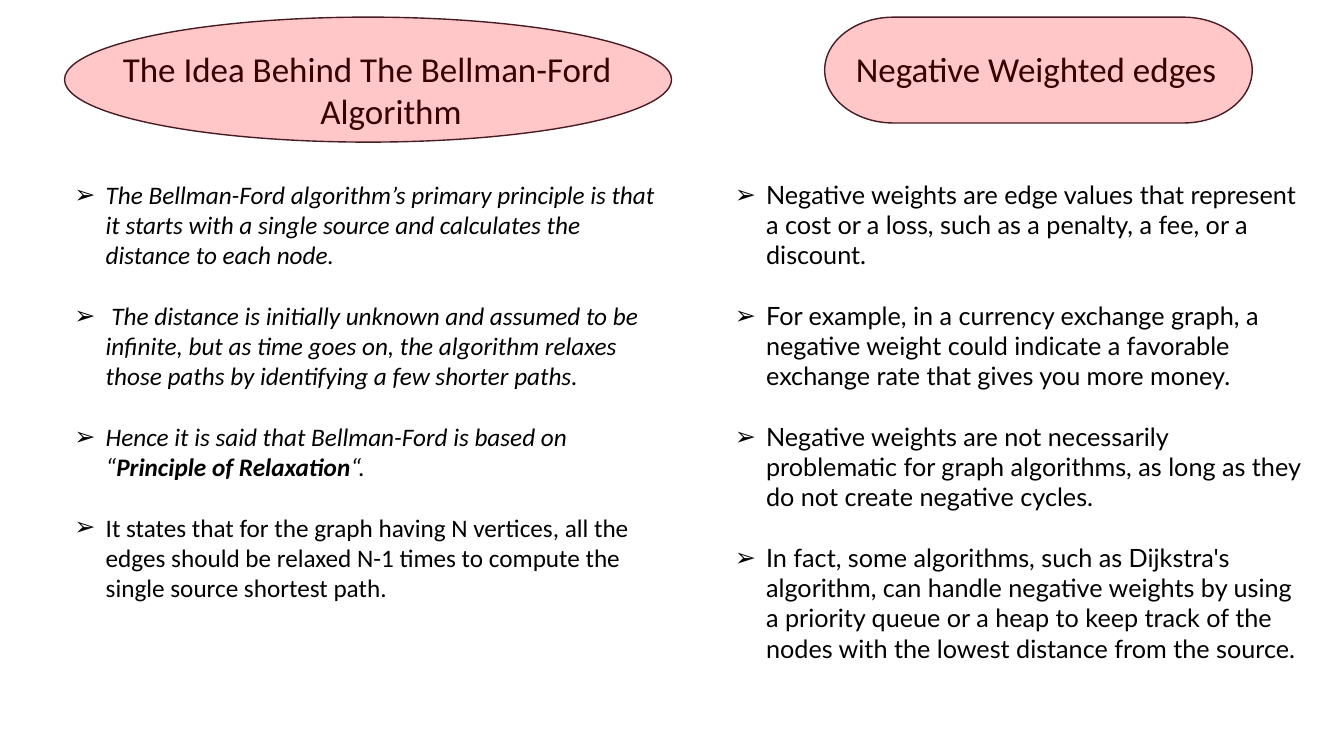
from lxml.etree import SubElement
from pptx import Presentation
from pptx.dml.color import RGBColor
from pptx.enum.shapes import MSO_SHAPE as Shape
from pptx.oxml.ns import qn
from pptx.util import Inches, Pt

BLACK, RED, MAROON = "000000", "FF0000", "481C24"
LINE_GAP = 21.6  # one line of 18 pt text


def color(hex_string):
    return RGBColor.from_string(hex_string)


def add_run(paragraph, text, font="Calibri", size=18, bold=False, italic=False):
    run = paragraph.add_run()
    run.text = text
    run.font.name, run.font.size = font, Pt(size)
    run.font.bold, run.font.italic = bold, italic
    run.font.color.rgb = color(BLACK)


def add_text_frame(slide, box, wrap=True):
    frame = slide.shapes.add_textbox(*map(Inches, box)).text_frame
    frame.word_wrap = wrap
    return frame


def next_paragraph(frame, index):
    return frame.paragraphs[0] if index == 0 else frame.add_paragraph()


def add_heading(slide, box, lines, wrap=True):
    """Lines are (left indent in inches, text)."""
    frame = add_text_frame(slide, box, wrap)
    for index, (indent, text) in enumerate(lines):
        paragraph = next_paragraph(frame, index)
        if indent:
            paragraph._p.get_or_add_pPr().set("marL", str(Inches(indent)))
        add_run(paragraph, text, size=25)


def add_tint(slide, outline, box):
    """Translucent red shape laid over a heading."""
    tint = slide.shapes.add_shape(outline, *map(Inches, box))
    tint.shadow.inherit = False
    tint.fill.solid()
    tint.fill.fore_color.rgb = color(RED)
    fill_color = tint.fill._xPr.find(qn("a:solidFill"))[0]
    SubElement(fill_color, qn("a:alpha"), val="22000")
    tint.line.color.rgb = color(MAROON)
    tint.line.width = Pt(1)


def add_bullets(slide, box, points, font):
    """Each point is a list of (text, format) runs."""
    frame = add_text_frame(slide, box)
    for index, runs in enumerate(points):
        paragraph = next_paragraph(frame, index)
        properties = paragraph._p.get_or_add_pPr()
        properties.set("marL", str(Inches(0.31)))
        properties.set("indent", str(-Inches(0.31)))
        if index:
            paragraph.space_before = Pt(LINE_GAP)
        SubElement(properties, qn("a:buFont"), typeface="Wingdings")
        properties[-1].set("typeface", "Arial")
        SubElement(properties, qn("a:buChar"), char="➢")
        for text, style in runs:
            add_run(paragraph, text, font=font, **style)


ITALIC = {"italic": True}
IDEA_POINTS = [
    [("The Bellman-Ford algorithm’s primary principle is that it starts with a "
      "single source and calculates the distance to each node.", ITALIC)],
    [(" The distance is initially unknown and assumed to be infinite, but as time "
      "goes on, the algorithm relaxes those paths by identifying a few shorter "
      "paths.", ITALIC)],
    [("Hence it is said that Bellman-Ford is based on “", ITALIC),
     ("Principle of Relaxation", {"italic": True, "bold": True}),
     ("“.", ITALIC)],
    [("It states that for the graph having N vertices, all the edges should be "
      "relaxed N-1 times to compute the single source shortest path.", {})],
]
NEGATIVE_POINTS = [[(text, {})] for text in (
    "Negative weights are edge values that represent a cost or a loss, such as a "
    "penalty, a fee, or a discount.",
    "For example, in a currency exchange graph, a negative weight could indicate a "
    "favorable exchange rate that gives you more money.",
    "Negative weights are not necessarily problematic for graph algorithms, as long "
    "as they do not create negative cycles.",
    "In fact, some algorithms, such as Dijkstra's algorithm, can handle negative "
    "weights by using a priority queue or a heap to keep track of the nodes with "
    "the lowest distance from the source.",
)]


def add_idea_column(slide, left, top, width):
    add_heading(slide, (left + 0.48, top + 0.25, 5.82, 0.94),
                [(0, "The Idea Behind The Bellman-Ford"), (1.96, "Algorithm")])
    add_tint(slide, Shape.OVAL, (left, top, width, 1.24))
    add_bullets(slide, (left, top + 1.56, width, 4.64), IDEA_POINTS, "Calibri")


def add_negative_column(slide, left, top, width):
    add_heading(slide, (left + 1.2, top + 0.25, 3.82, 0.52),
                [(0, "Negative Weighted edges")], wrap=False)
    add_tint(slide, Shape.FLOWCHART_TERMINATOR, (left + 0.99, top, 4.24, 1.05))
    add_bullets(slide, (left, top + 1.56, width, 4.64), NEGATIVE_POINTS, "Lato")


def main():
    deck = Presentation()
    deck.slide_width, deck.slide_height = Inches(13.33), Inches(7.5)
    slide = deck.slides.add_slide(deck.slide_layouts[6])
    add_idea_column(slide, 0.64, 0.17, 6.02)
    add_negative_column(slide, 7.19, 0.17, 5.85)
    deck.save("out.pptx")


if __name__ == "__main__":
    main()
